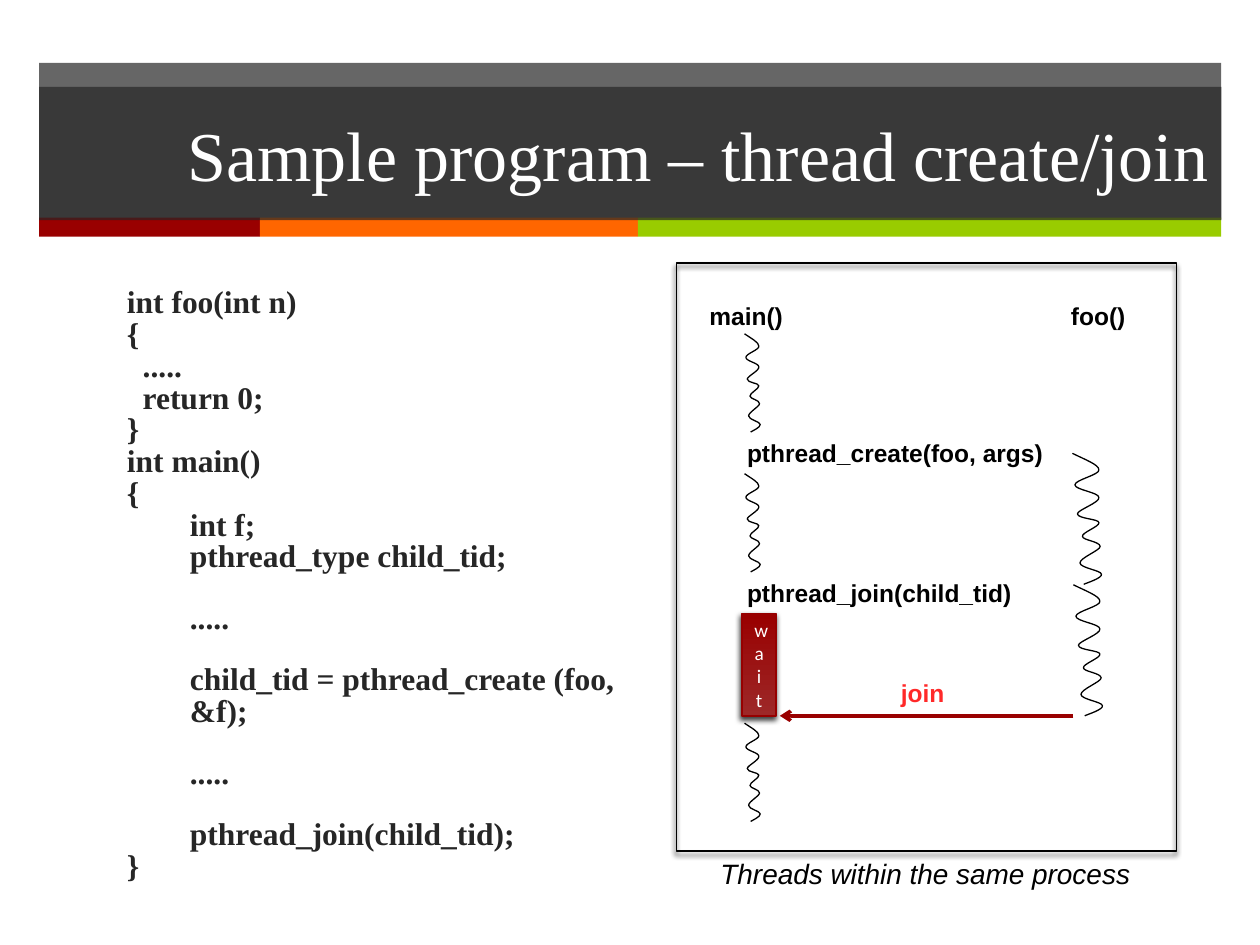
from dataclasses import dataclass
from itertools import accumulate

from lxml.etree import Element, SubElement
from pptx import Presentation
from pptx.dml.color import RGBColor
from pptx.enum.shapes import MSO_CONNECTOR, MSO_SHAPE
from pptx.enum.text import MSO_ANCHOR, MSO_AUTO_SIZE, PP_ALIGN
from pptx.oxml.ns import qn
from pptx.util import Cm, Pt


@dataclass(frozen=True)
class Theme:
    """Colours, fonts and type sizes of the slide."""
    dark: str = "262626"
    white: str = "FFFFFF"
    black: str = "000000"
    red: str = "990000"
    red_light: str = "9D2828"
    red_edge: str = "960000"
    orange: str = "FF6600"
    green: str = "99CC00"
    join: str = "FF2929"
    serif: str = "Times New Roman"
    sans: str = "Arial"
    narrow: str = "Calibri"
    title_size: int = 40
    code_size: int = 18
    caption_size: int = 16
    label_size: int = 14
    wait_size: int = 11


THEME = Theme()

CODE = """int foo(int n)
{
  .....
  return 0;
}
int main()
{
        int f;
        pthread_type child_tid;

        .....

        child_tid = pthread_create (foo, &f);

        .....

        pthread_join(child_tid);
}"""

SQUIGGLE = [
    (0, 0), (10, 5), (21, 9), (21, 13), (22, 17), (2, 21), (2, 25), (2, 29),
    (21, 31), (21, 35), (22, 39), (4, 45), (4, 48), (4, 52), (21, 52), (21, 55),
    (22, 58), (7, 63), (8, 66), (8, 69), (22, 70), (22, 74), (22, 77), (6, 83),
    (6, 87), (6, 91), (23, 93), (23, 96), (24, 99), (11, 103), (9, 104),
]


def color(value):
    """Turn a hex string into a colour."""
    return RGBColor.from_string(value)


def write(para, text, *, size, font, fill, bold=False, italic=False,
          align=PP_ALIGN.LEFT):
    """Write one formatted run into a paragraph."""
    para.alignment = align
    span = para.add_run()
    span.text = text
    span.font.size = Pt(size)
    span.font.name = font
    span.font.color.rgb = color(fill)
    span.font.bold = bold
    span.font.italic = italic


def fill_dark(shape):
    """Give a shape the translucent dark fill of the header."""
    shape.fill.solid()
    shape.fill.fore_color.rgb = color(THEME.dark)
    tint = shape.element.spPr.find(qn("a:solidFill"))[0]
    SubElement(tint, qn("a:alpha"), val="70000")


def add_rectangle(page, left, top, width, height, fill=None, line=None):
    """Add a rectangle without shadow."""
    shape = page.shapes.add_shape(
        MSO_SHAPE.RECTANGLE, Cm(left), Cm(top), Cm(width), Cm(height))
    shape.shadow.inherit = False
    if fill:
        shape.fill.solid()
        shape.fill.fore_color.rgb = color(fill)
    else:
        shape.fill.background()
    if line:
        shape.line.color.rgb = color(line)
        shape.line.width = Pt(1)
    else:
        shape.line.fill.background()
    return shape


def cast_shadow(shape):
    """Give a shape a soft shadow below it."""
    effects = shape.element.spPr.find(qn("a:effectLst"))
    shadow = SubElement(effects, qn("a:outerShdw"), blurRad="38100",
                        dist="25400", dir="6600000", rotWithShape="0")
    tint = SubElement(shadow, qn("a:srgbClr"), val=THEME.black)
    SubElement(tint, qn("a:alpha"), val="75000")


def add_label(page, text, left, top, width, height=0.86, wrap=False, **style):
    """Add a one-line text box that grows with its text."""
    box = page.shapes.add_textbox(Cm(left), Cm(top), Cm(width), Cm(height))
    box.text_frame.word_wrap = wrap
    box.text_frame.auto_size = MSO_AUTO_SIZE.SHAPE_TO_FIT_TEXT
    write(box.text_frame.paragraphs[0], text,
          **{"size": THEME.label_size, "font": THEME.sans,
             "fill": THEME.black, **style})


def add_squiggle(page, left, top, width, height):
    """Add a thread of execution as a chain of cubic curves."""
    builder = page.shapes.build_freeform(
        *SQUIGGLE[0], scale=(Cm(width) / 24, Cm(height) / 104))
    builder.add_line_segments(SQUIGGLE[1:], close=False)
    shape = builder.convert_to_shape(Cm(left), Cm(top))
    shape.shadow.inherit = False
    shape.fill.background()
    shape.line.color.rgb = color(THEME.black)
    shape.line.width = Pt(0.75)
    steps = iter(list(shape.element.iter(qn("a:lnTo"))))
    for group in zip(steps, steps, steps):
        curve = Element(qn("a:cubicBezTo"))
        group[0].addprevious(curve)
        for step in group:
            curve.append(step[0])
            step.getparent().remove(step)


def add_header(page, text):
    """Draw the header bars and the title over them."""
    fill_dark(add_rectangle(page, 0.79, 1.27, 23.83, 3.15))
    widths = (4.45, 7.62, 11.76)
    lefts = accumulate(widths, initial=0.79)
    for left, width, fill in zip(
            lefts, widths, (THEME.red, THEME.orange, THEME.green)):
        add_rectangle(page, left, 4.39, width, 0.38, fill)
    title = page.shapes.title
    title.left, title.top = Cm(0.79), Cm(1.75)
    title.width, title.height = Cm(23.83), Cm(2.69)
    fill_dark(title)
    title.text_frame.vertical_anchor = MSO_ANCHOR.MIDDLE
    write(title.text_frame.paragraphs[0], text, size=THEME.title_size,
          font=THEME.serif, fill=THEME.white, align=PP_ALIGN.RIGHT)
    page.shapes.element.append(title.element)


def add_code(page):
    """Add the program listing, with blank lines as space before."""
    box = page.shapes.add_textbox(Cm(2.31), Cm(5.69), Cm(11.33), Cm(12.34))
    frame = box.text_frame
    frame.word_wrap = True
    para, gap = frame.paragraphs[0], 0
    for number, line in enumerate(CODE.splitlines()):
        if not line:
            gap = 17
            continue
        if number:
            para = frame.add_paragraph()
        para.line_spacing = 0.84
        para.space_before = Pt(gap)
        properties = para._p.get_or_add_pPr()
        properties.set("marL", str(Cm(1.27)))
        properties.set("indent", str(Cm(-1.27)))
        write(para, line, size=THEME.code_size, font=THEME.serif,
              fill=THEME.dark, bold=True)
        gap = 0


def add_wait(page):
    """Add the gradient block in which main waits."""
    block = add_rectangle(page, 14.96, 12.37, 0.69, 2.06, line=THEME.red_edge)
    block.fill.gradient()
    block.fill.gradient_angle = 90
    for stop, fill in zip(block.fill.gradient_stops,
                          (THEME.red_light, THEME.red)):
        stop.color.rgb = color(fill)
    cast_shadow(block)
    block.text_frame.word_wrap = True
    block.text_frame.vertical_anchor = MSO_ANCHOR.MIDDLE
    write(block.text_frame.paragraphs[0], "wait", size=THEME.wait_size,
          font=THEME.narrow, fill=THEME.white, align=PP_ALIGN.CENTER)


def add_arrow(page, start, end, height):
    """Add a horizontal arrow."""
    arrow = page.shapes.add_connector(
        MSO_CONNECTOR.STRAIGHT, Cm(start), Cm(height), Cm(end), Cm(height))
    arrow.line.color.rgb = color(THEME.red)
    arrow.line.width = Pt(2)
    SubElement(arrow.line._get_or_add_ln(), qn("a:tailEnd"), type="arrow")
    SubElement(arrow.element.spPr, qn("a:effectLst"))


def add_diagram(page):
    """Draw the two threads and their join inside a frame."""
    for top in (6.73, 9.55, 14.58):
        add_squiggle(page, 15.01, top, 0.33, 1.98)
    for left, top in ((21.62, 9.14), (21.64, 11.79)):
        add_squiggle(page, left, top, 0.61, 2.64)
    for text, left, top, width in (
            ("main()", 14.05, 5.94, 2.01),
            ("foo()", 21.34, 5.94, 1.63),
            ("pthread_create(foo, args)", 14.81, 8.71, 6.91),
            ("pthread_join(child_tid)", 14.81, 11.53, 6.27)):
        add_label(page, text, left, top, width, bold=True)
    add_wait(page)
    add_arrow(page, 21.64, 15.72, 14.43)
    add_label(page, "join", 17.91, 13.54, 1.42, bold=True, fill=THEME.join)
    add_label(page, "Threads within the same process", 13.59, 17.15, 10.13,
              0.94, wrap=True, size=THEME.caption_size, italic=True,
              align=PP_ALIGN.CENTER)
    cast_shadow(add_rectangle(page, 13.64, 5.31, 10.08, 11.84,
                              line=THEME.black))


def main():
    """Build the slide and save it."""
    deck = Presentation()
    deck.slide_width, deck.slide_height = Cm(25.4), Cm(19.05)
    page = deck.slides.add_slide(deck.slide_layouts[5])
    add_header(page, "Sample program – thread create/join")
    add_code(page)
    add_diagram(page)
    deck.save("out.pptx")


if __name__ == "__main__":
    main()
